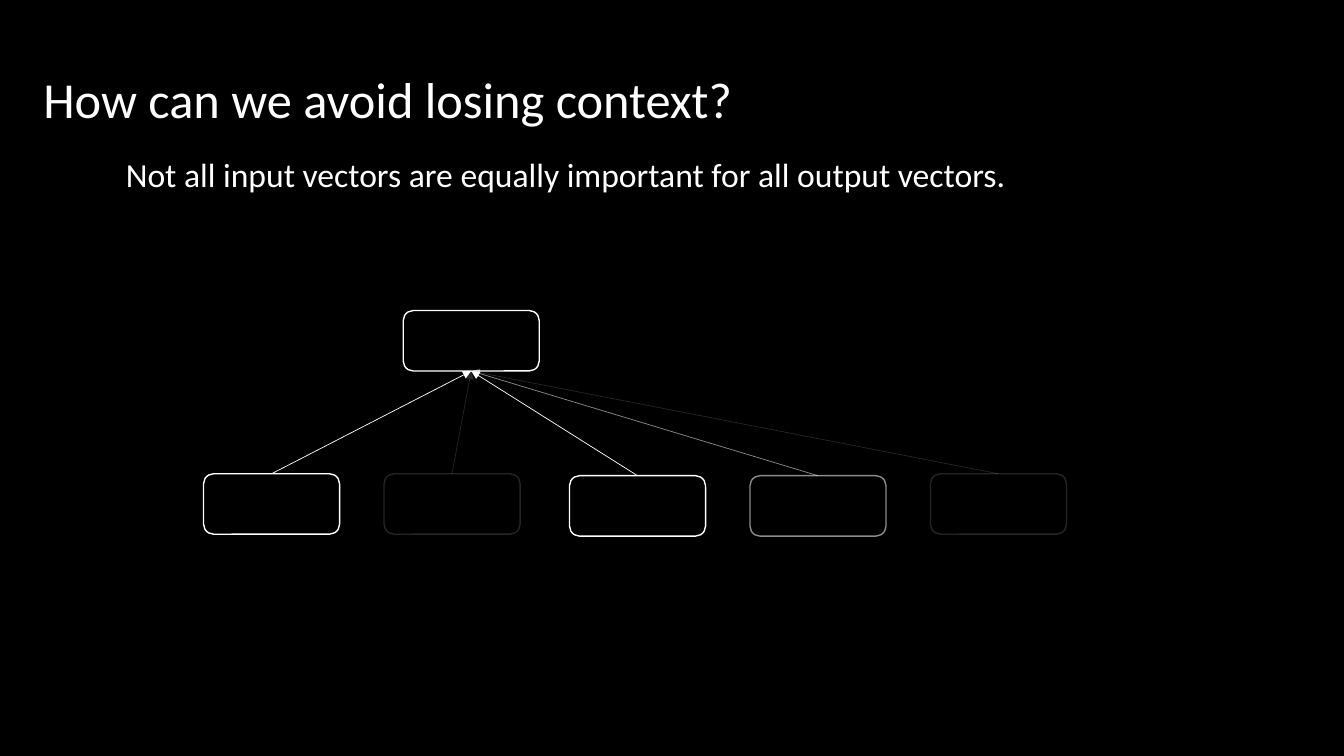
from dataclasses import dataclass

from lxml import etree
from pptx import Presentation
from pptx.dml.color import RGBColor
from pptx.enum.shapes import MSO_CONNECTOR, MSO_SHAPE
from pptx.enum.text import MSO_AUTO_SIZE
from pptx.oxml.ns import qn
from pptx.shapes.autoshape import Shape
from pptx.shapes.connector import Connector
from pptx.slide import Slide
from pptx.util import Pt

ROUNDED = MSO_SHAPE.ROUNDED_RECTANGLE
STRAIGHT = MSO_CONNECTOR.STRAIGHT
GROW = MSO_AUTO_SIZE.SHAPE_TO_FIT_TEXT

WHITE = "FFFFFF"
BLACK = "000000"
FONT = "Calibri"
TOP_SIDE, BOTTOM_SIDE = 0, 2
VECTOR_WIDTH, VECTOR_HEIGHT = 97.2, 43.2


@dataclass(frozen=True)
class Vector:
    left: float
    top: float
    opacity: int = 100


PITCH = 128.9
LEFT_PAIR, RIGHT_TRIO = 145.4, 406.8
OUTPUT_VECTOR = Vector(288, 221.8)
INPUT_VECTORS = [
    Vector(LEFT_PAIR, 338.4),
    Vector(LEFT_PAIR + PITCH, 338.4, 15),
    Vector(RIGHT_TRIO, 339.8),
    Vector(RIGHT_TRIO + PITCH, 339.8, 55),
    Vector(RIGHT_TRIO + 2 * PITCH, 338.4, 15),
]


def color(hex_code: str) -> RGBColor:
    return RGBColor.from_string(hex_code)


def add_text(slide: Slide, text: str, *, left: float, top: float,
             width: float, height: float, size: float) -> None:
    box = slide.shapes.add_textbox(Pt(left), Pt(top), Pt(width), Pt(height))
    frame = box.text_frame
    frame.word_wrap = True
    frame.auto_size = GROW
    run = frame.paragraphs[0].add_run()
    run.text = text
    run.font.name = FONT
    run.font.size = Pt(size)
    run.font.color.rgb = color(WHITE)


def style_line(item: Shape | Connector, width: float, opacity: int) -> None:
    item.line.width = Pt(width)
    item.line.color.rgb = color(WHITE)
    if opacity < 100:
        stroke = item.element.spPr.find(f".//{qn('a:ln')}//{qn('a:srgbClr')}")
        etree.SubElement(stroke, qn("a:alpha"), val=str(opacity * 1000))


def add_vector(slide: Slide, vector: Vector) -> Shape:
    box = slide.shapes.add_shape(ROUNDED, Pt(vector.left), Pt(vector.top),
                                 Pt(VECTOR_WIDTH), Pt(VECTOR_HEIGHT))
    box.shadow.inherit = False
    box.fill.background()
    style_line(box, 1, vector.opacity)
    return box


def add_attention(slide: Slide, source: Shape, target: Shape, opacity: int) -> None:
    arrow = slide.shapes.add_connector(STRAIGHT, 0, 0, 0, 0)
    arrow.begin_connect(source, TOP_SIDE)
    arrow.end_connect(target, BOTTOM_SIDE)
    style_line(arrow, 0.5, opacity)
    properties = arrow.element.spPr
    etree.SubElement(properties.find(qn("a:ln")), qn("a:tailEnd"), type="triangle")
    etree.SubElement(properties, qn("a:effectLst"))


def main() -> None:
    presentation = Presentation()
    presentation.slide_width, presentation.slide_height = Pt(960), Pt(540)
    slide = presentation.slides.add_slide(presentation.slide_layouts[6])
    slide.background.fill.solid()
    slide.background.fill.fore_color.rgb = color(BLACK)

    add_text(slide, "How can we avoid losing context?",
             left=23.8, top=45.4, width=894.2, height=51.1, size=36)
    add_text(slide, "Not all input vectors are equally important for all output vectors.",
             left=82.8, top=106.6, width=946.8, height=36, size=24)

    output = add_vector(slide, OUTPUT_VECTOR)
    inputs = [add_vector(slide, vector) for vector in INPUT_VECTORS]
    for source, vector in zip(inputs, INPUT_VECTORS):
        add_attention(slide, source, output, vector.opacity)

    presentation.save("out.pptx")


if __name__ == "__main__":
    main()
